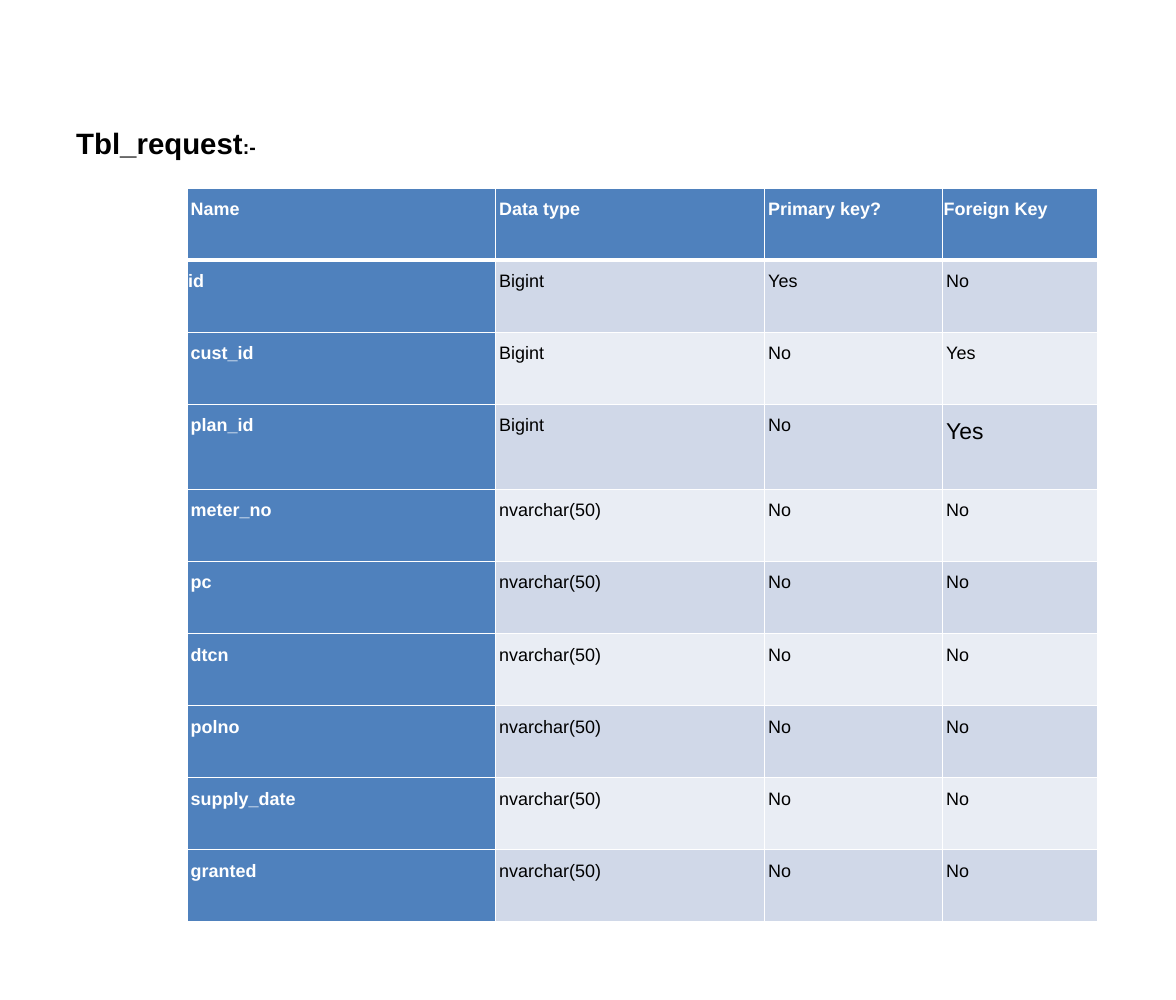
"""Builds a slide describing the columns of the Tbl_request database table."""
from lxml import etree
from pptx import Presentation
from pptx import util as u
from pptx.dml.color import RGBColor
from pptx.enum import text
from pptx.oxml.ns import qn

BLACK, WHITE, BLUE = "000000", "FFFFFF", "4F81BD"
BANDS = ("D0D8E8", "E9EDF4")
WIDTHS = (188.8, 164.8, 109, 95.2)
ROW_HEIGHT, TALL_HEIGHT = 44.1, 52.2
HEADER = ("Name", "Data type", "Primary key?", "Foreign Key")
FIELDS = [
    ("id", "Bigint", "Yes", "No"),
    ("cust_id", "Bigint", "No", "Yes"),
    ("plan_id", "Bigint", "No", "Yes"),
] + [(name, "nvarchar(50)", "No", "No")
     for name in ("meter_no", "pc", "dtcn", "polno", "supply_date", "granted")]
FLUSH_CELLS = {(0, 3), (1, 0)}
LARGE_CELL = (3, 3)


def color(value):
    return RGBColor.from_string(value)


class SlideBuilder:
    def __init__(self, slide, font="Arial"):
        self.slide = slide
        self.font = font

    def style(self, span, size, shade, bold):
        span.font.name = self.font
        span.font.size = u.Pt(size)
        span.font.bold = bold
        span.font.color.rgb = color(shade)

    def title(self, left, top, width, height, parts):
        box = self.slide.shapes.add_textbox(
            u.Pt(left), u.Pt(top), u.Pt(width), u.Pt(height))
        frame = box.text_frame
        frame.word_wrap = False
        frame.auto_size = text.MSO_AUTO_SIZE.SHAPE_TO_FIT_TEXT
        frame.vertical_anchor = text.MSO_ANCHOR.MIDDLE
        for words, size in parts:
            span = frame.paragraphs[0].add_run()
            span.text = words
            self.style(span, size, BLACK, True)

    def borders(self, cell, top, bottom):
        properties = cell._tc.get_or_add_tcPr()
        for side, width in (("L", 1), ("R", 1), ("T", top), ("B", bottom)):
            line = etree.SubElement(properties, qn(f"a:ln{side}"), w=str(u.Pt(width)))
            fill = etree.SubElement(line, qn("a:solidFill"))
            etree.SubElement(fill, qn("a:srgbClr"), val=WHITE)

    def cell(self, cell, words, row, column):
        heading = row == 0 or column == 0
        self.borders(cell, 3 if row == 1 else 1, 3 if row == 0 else 1)
        cell.fill.solid()
        cell.fill.fore_color.rgb = color(BLUE if heading else BANDS[(row - 1) % 2])
        cell.margin_left = cell.margin_right = u.Pt(0.7)
        cell.margin_top = cell.margin_bottom = u.Pt(0.7)
        cell.text_frame.text = words
        para = cell.text_frame.paragraphs[0]
        para.line_spacing = 1.5
        if (row, column) not in FLUSH_CELLS:
            para._p.get_or_add_pPr().set("marL", str(u.Pt(1.6)))
        size = 14 if (row, column) == LARGE_CELL else 11
        self.style(para.runs[0], size, WHITE if heading else BLACK, heading)

    def table(self, left, top, rows, widths, heights):
        table = self.slide.shapes.add_table(
            len(rows), len(widths), u.Pt(left), u.Pt(top),
            u.Pt(sum(widths)), u.Pt(sum(heights))).table
        table.first_row = table.horz_banding = False
        for column, width in zip(table.columns, widths):
            column.width = u.Pt(width)
        for row, (values, height) in enumerate(zip(rows, heights)):
            table.rows[row].height = u.Pt(height)
            for column, words in enumerate(values):
                self.cell(table.cell(row, column), words, row, column)


def main():
    deck = Presentation()
    deck.slide_width, deck.slide_height = u.Pt(720), u.Pt(612)
    page = SlideBuilder(deck.slides.add_slide(deck.slide_layouts[6]))
    page.title(39.6, 72.7, 125.3, 29, [("Tbl_request", 18), (":-", 12)])
    rows = [HEADER] + FIELDS
    heights = [TALL_HEIGHT if row == LARGE_CELL[0] else ROW_HEIGHT
               for row in range(len(rows))]
    page.table(114.5, 115.2, rows, WIDTHS, heights)
    deck.save("out.pptx")


if __name__ == "__main__":
    main()
